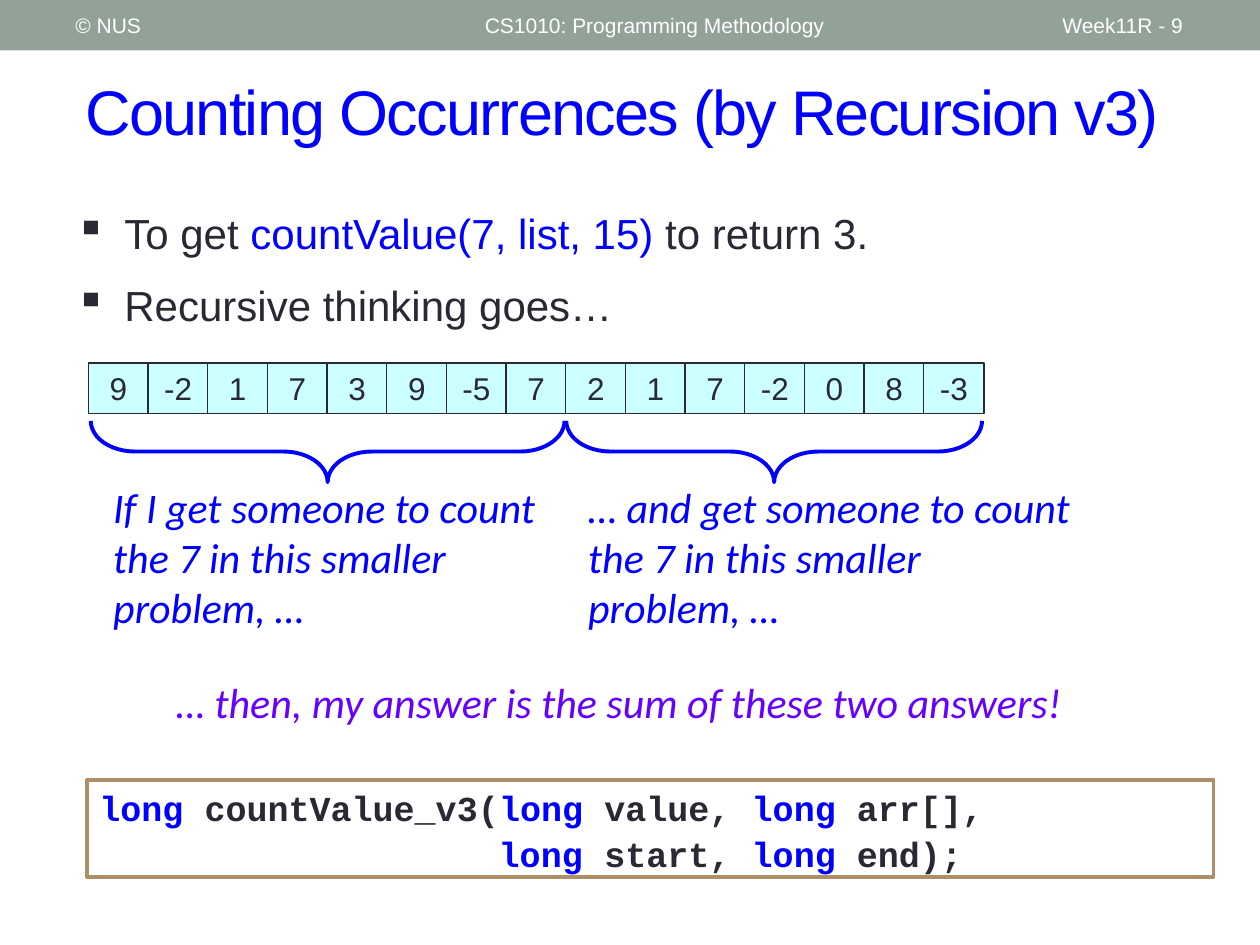
from pptx import Presentation
from pptx.dml.color import RGBColor
from pptx.enum.shapes import MSO_SHAPE
from pptx.enum.text import MSO_ANCHOR, PP_ALIGN
from pptx.oxml.ns import qn
from pptx.util import Pt
from lxml import etree

RECTANGLE, BRACE = MSO_SHAPE.RECTANGLE, MSO_SHAPE.LEFT_BRACE
TOP, MIDDLE = MSO_ANCHOR.TOP, MSO_ANCHOR.MIDDLE
LEFT, CENTER = PP_ALIGN.LEFT, PP_ALIGN.CENTER

WHITE = RGBColor(0xFF, 0xFF, 0xFF)
SAGE = RGBColor(0x93, 0xA2, 0x99)
INK = RGBColor(0x29, 0x29, 0x34)
BLUE = RGBColor(0x00, 0x00, 0xFF)
PURPLE = RGBColor(0x66, 0x00, 0xFF)
CYAN = RGBColor(0xCC, 0xFF, 0xFF)
TAN = RGBColor(0xAD, 0x8F, 0x67)

HEADER = {"name": "Arial", "size": Pt(12)}
TITLE = {"name": "Arial", "size": Pt(36)}
BODY = {"name": "Arial", "size": Pt(24)}
CELL = {"name": "Arial", "size": Pt(18)}
REMARK = {"name": "Calibri", "size": Pt(24), "italic": True}
CODE = {"name": "Courier New", "size": Pt(20), "bold": True}

VALUES = [9, -2, 1, 7, 3, 9, -5, 7, 2, 1, 7, -2, 0, 8, -3]
CELL_LEFT, CELL_TOP, CELL_STEP = 50.4, 207.4, 34.1
CELL_WIDTH, CELL_HEIGHT = 34.5, 28.8


def add_span(para, text, color, style):
    """Add text in one style; newlines become line breaks."""
    for number, line in enumerate(text.split("\n")):
        if number:
            para.add_line_break()
        span = para.add_run()
        span.text = line
        span.font.color.rgb = color
        for name, value in style.items():
            setattr(span.font, name, value)


def fill_text(box, paragraphs, style, anchor=TOP, align=LEFT, gap=0):
    """Write paragraphs, each a list of (text, color) spans."""
    frame = box.text_frame
    frame.word_wrap = True
    frame.vertical_anchor = anchor
    for number, spans in enumerate(paragraphs):
        para = frame.add_paragraph() if number else frame.paragraphs[0]
        para.alignment = align
        para.space_before = Pt(gap if number else 0)
        for text, color in spans:
            add_span(para, text, color, style)


def add_text(page, bounds, paragraphs, style, **layout):
    box = page.shapes.add_textbox(*map(Pt, bounds))
    fill_text(box, paragraphs, style, **layout)
    return box


def add_box(page, bounds, fill, line=None, weight=0.75):
    box = page.shapes.add_shape(RECTANGLE, *map(Pt, bounds))
    box.shadow.inherit = False
    box.fill.solid()
    box.fill.fore_color.rgb = fill
    if line is None:
        box.line.fill.background()
    else:
        box.line.color.rgb = line
        box.line.width = Pt(weight)
    return box


def add_remark(page, bounds, text, color):
    fill_text(add_box(page, bounds, WHITE), [[(text, color)]], REMARK)


def add_brace(page, left, top, width, height):
    """Draw a brace lying under the given span, pointing down."""
    middle_x, middle_y = left + width / 2, top + height / 2
    bounds = (middle_x - height / 2, middle_y - width / 2, height, width)
    brace = page.shapes.add_shape(BRACE, *map(Pt, bounds))
    brace.adjustments[0] = 0.72
    brace.rotation = 270
    brace.shadow.inherit = False
    brace.fill.background()
    brace.line.color.rgb = BLUE
    brace.line.width = Pt(2.25)


def add_bullets(box, indent):
    for para in box.text_frame.paragraphs:
        properties = para._p.get_or_add_pPr()
        properties.set("marL", str(Pt(indent)))
        properties.set("indent", str(-Pt(indent)))
        etree.SubElement(properties, qn("a:buChar")).set("char", "▪")


def add_header(page):
    add_box(page, (0, 0, 720, 28.8), SAGE)
    for left, width, text in [
        (36, 228, "© NUS"),
        (270, 324, "CS1010: Programming Methodology"),
        (600, 84, "Week11R - 9"),
    ]:
        add_text(page, (left, 1.4, width, 26), [[(text, WHITE)]], HEADER, anchor=MIDDLE)


def add_array(page):
    for index, value in enumerate(VALUES):
        left = CELL_LEFT + index * CELL_STEP
        cell = add_box(page, (left, CELL_TOP, CELL_WIDTH, CELL_HEIGHT), CYAN, INK)
        cell.text_frame.margin_left = cell.text_frame.margin_right = 0
        fill_text(cell, [[(str(value), INK)]], CELL, anchor=MIDDLE, align=CENTER)


def main():
    deck = Presentation()
    deck.slide_width, deck.slide_height = Pt(720), Pt(540)
    page = deck.slides.add_slide(deck.slide_layouts[6])

    # Header and title
    add_header(page)
    title = add_text(page, (41.8, 30.2, 660, 66.2),
                     [[("Counting Occurrences (by Recursion v3)", BLUE)]],
                     TITLE, anchor=MIDDLE)
    for span in title.text_frame.paragraphs[0].runs:
        span.font._element.set("spc", "-100")

    # Goal
    goal = add_text(page, (36, 115.2, 565, 77.8), [
        [("To get ", INK), ("countValue(7, list, 15)", BLUE), (" to return 3.", INK)],
        [("Recursive thinking goes…", INK)],
    ], BODY, gap=12)
    add_bullets(goal, 28)

    # Array split into two smaller problems
    add_array(page)
    add_remark(page, (57.6, 271.4, 298.8, 94.3),
               "If I get someone to count\nthe 7 in this smaller\nproblem, …", BLUE)
    add_remark(page, (329, 271.4, 313.2, 94.3),
               "… and get someone to count the 7 in this smaller\nproblem, …", BLUE)
    add_brace(page, 51.9, 240.5, 270.7, 35)
    add_brace(page, 323.6, 240.5, 237.6, 35)
    add_remark(page, (93.6, 383, 542.9, 36),
               "… then, my answer is the sum of these two answers!", PURPLE)

    # Function prototype
    code = add_box(page, (49.7, 445.7, 643.7, 55.4), WHITE, TAN, 2.08)
    fill_text(code, [
        [("long", BLUE), (" countValue_v3(", INK), ("long", BLUE), (" value, ", INK),
         ("long ", BLUE), ("arr[],", INK)],
        [("                   long", BLUE), (" start, ", INK), ("long", BLUE),
         (" end);", INK)],
    ], CODE, gap=2.4)

    deck.save("out.pptx")


if __name__ == "__main__":
    main()
